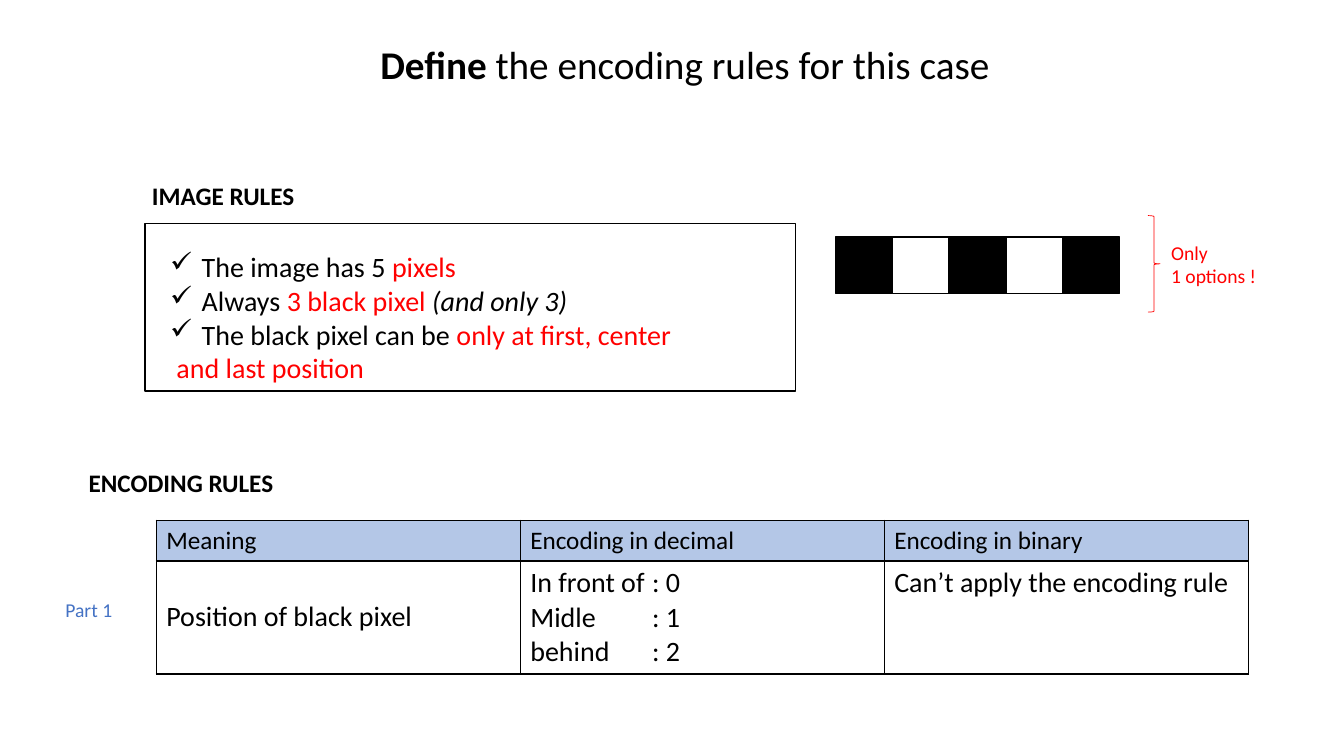
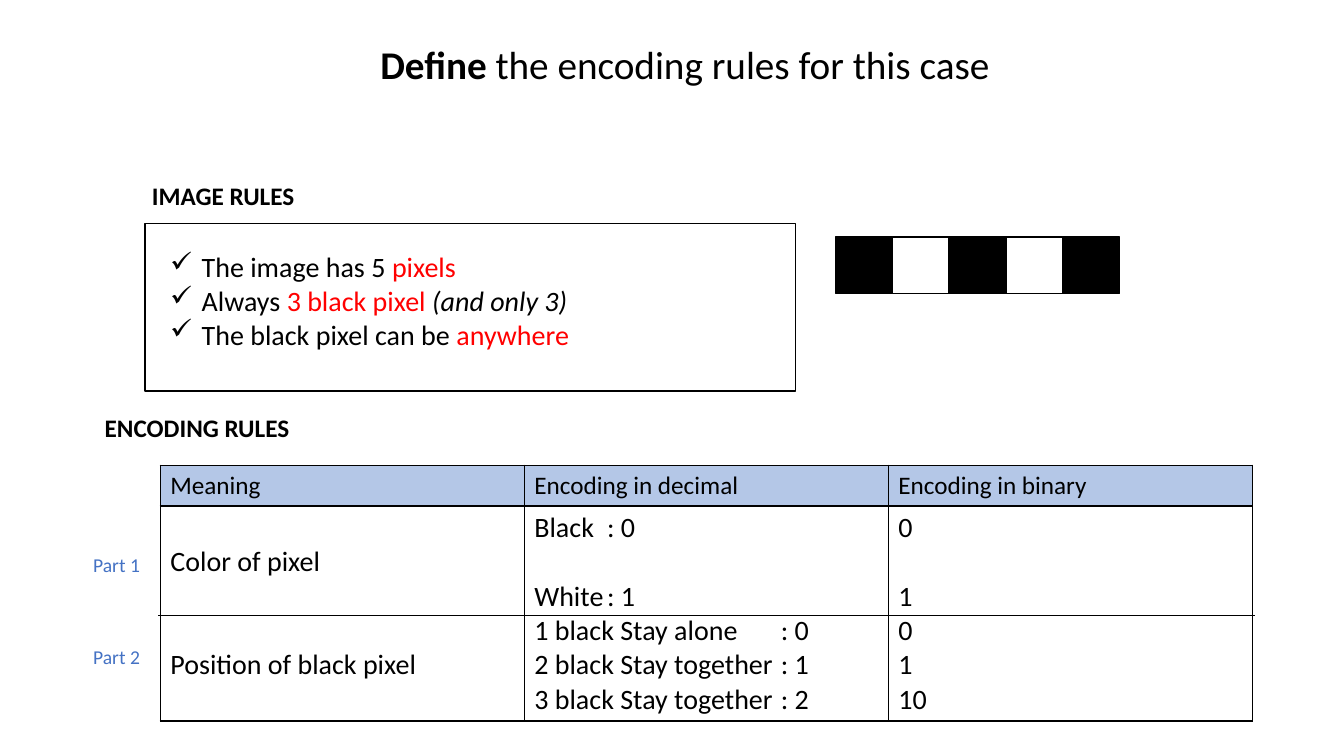
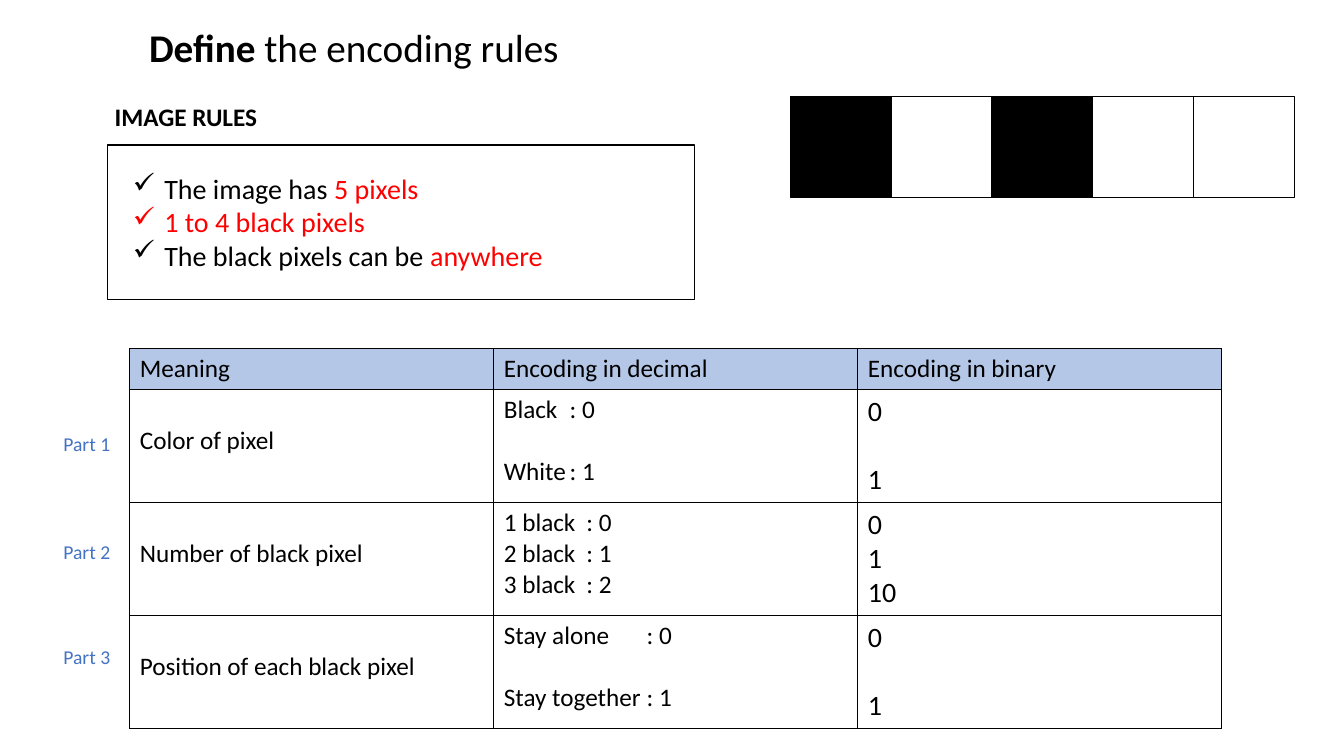
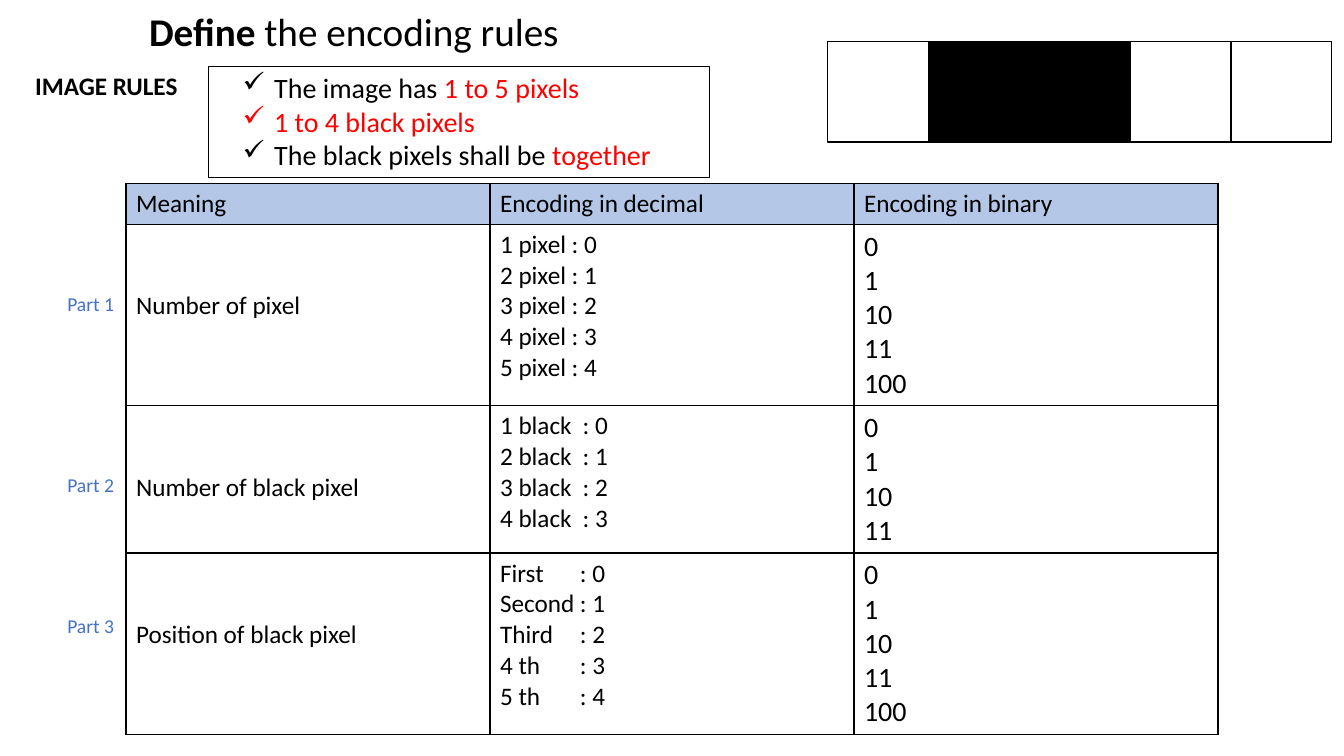
"""Four slides that define encoding rules for a row of pixels."""
from dataclasses import dataclass
from lxml.etree import SubElement as Sub
from pptx import Presentation
from pptx.dml.color import RGBColor as Rgb
from pptx.enum.shapes import MSO_CONNECTOR as Link, MSO_SHAPE as Kind
from pptx.enum.text import MSO_AUTO_SIZE as Auto, PP_ALIGN as Align
from pptx.oxml.ns import qn
from pptx.util import Pt


@dataclass(frozen=True)
class Theme:
    font: str = "Calibri"
    black: str = "000000"
    white: str = "FFFFFF"
    red: str = "FF0000"
    blue: str = "4472C4"
    head: str = "B4C7E7"
    title: int = 28
    body: int = 20
    label: int = 18
    note: int = 14
    line: float = 1
    thin: float = 0.5
    lead: float = 1.22
    pad: float = 3.6
    step: float = 22.5


T = Theme()


def write(frame, paras, size, color=T.black, tabs=()):
    gap = 0
    first = True
    for runs in paras:
        if not runs:
            gap += 1
            continue
        para = frame.paragraphs[0] if first else frame.add_paragraph()
        first = False
        if gap:
            para.space_before = Pt(round(gap * size * T.lead, 2))
        gap = 0
        for text, style in runs:
            run = para.add_run()
            run.text = text
            font = run.font
            font.name, font.size = T.font, Pt(size)
            font.bold, font.italic = "b" in style, "i" in style
            font.color.rgb = Rgb.from_string(T.red if "r" in style else color)
        if tabs and "\t" in para.text:
            stops = Sub(para._p.get_or_add_pPr(), qn("a:tabLst"))
            for stop in tabs:
                Sub(stops, qn("a:tab"), pos=str(Pt(stop)), algn="l")


def draw(slide, kind, area, fill, line, width):
    shape = slide.shapes.add_shape(kind, *map(Pt, area))
    shape.shadow.inherit = False
    if fill:
        shape.fill.solid()
        shape.fill.fore_color.rgb = Rgb.from_string(fill)
    else:
        shape.fill.background()
    shape.line.color.rgb = Rgb.from_string(line)
    shape.line.width = Pt(width)


case = dict(
    title=(" the encoding rules for this case", 216, 25.2, 546.5, Align.CENTER),
    image=(101.5, 125.3), box=(103.7, 159.8, 464.4, 119.5),
    pixels=(597, 169.2, 40.5, "BWBWB"), sizes=(20, 20, 20))
task = dict(sizes=(18, 18, 20), encode=None)
five = [("The image has 5 ", ""), ("pixels", "r")]
three = [("Always ", ""), ("3 black pixel ", "r"), ("(and only 3)", "i")]
some = [("1 to 4 black pixels", "r")]
color = "Black\t: 0||White\t: 1"

pages = [
    dict(case, encode=(56.2, 330.5), rules=(114.5, 175, 376),
         points=[five, three,
                 [("The black pixel can be ", ""), ("only at first, center", "r")],
                 [("and last position", "r")]],
         grid=(111.6, 371.5), tabs=[(87,)], parts=(39.6, [423.4]),
         rows=[("|Position of black pixel",
                "In front of\t: 0|Midle\t: 1|behind\t: 2",
                "Can’t apply the encoding rule")]),
    dict(case, encode=(67.7, 290.9), rules=(114.5, 175, 305),
         points=[five, three, [("The black pixel can be ", ""), ("anywhere", "r")]],
         grid=(114.5, 332.3), tabs=[(52, 176)], parts=(59.4, [391.7, 457.2]),
         rows=[("|Color of pixel|||Position of black pixel",
                color + "|1 black Stay alone\t: 0|2 black Stay together\t: 1"
                "|3 black Stay together\t: 2",
                "0||1|0|1|10")]),
    dict(task, title=(" the encoding rules", 99.4, 13, 324, Align.LEFT),
         image=(74.9, 69.1), box=(77, 103.7, 419, 110.2),
         pixels=(564.5, 69.1, 72, "BWBWW"), rules=(87.8, 118.8, 310),
         points=[[("The image has ", ""), ("5 pixels", "r")], some,
                 [("The black pixels can be ", ""), ("anywhere", "r")]],
         grid=(92.7, 249.1), tabs=[(47,), (59,), (102,)],
         parts=(38.2, [305.3, 382.3, 457.2]),
         rows=[("|Color of pixel", color, "0||1"),
               ("|Number of black pixel", "1 black\t: 0|2 black\t: 1|3 black\t: 2",
                "0|1|10"),
               ("|Position of each black pixel", "Stay alone\t: 0||Stay together\t: 1",
                "0||1")]),
    dict(task, title=(" the encoding rules", 99.4, 1.5, 324, Align.LEFT),
         image=(18, 46.8), box=(149, 47.5, 357.8, 79.2),
         pixels=(591.3, 29.5, 72, "WBBWW"), rules=(166.3, 46.8, 313),
         points=[[("The image has ", ""), ("1 to 5 pixels", "r")], some,
                 [("The black pixels shall be ", ""), ("together", "r")]],
         grid=(90, 131), tabs=[(), (59,), (57,)],
         parts=(41, [205.2, 334.1, 434.9]),
         rows=[("||Number of pixel",
                "1 pixel : 0|2 pixel : 1|3 pixel : 2|4 pixel : 3|5 pixel : 4",
                "0|1|10|11|100"),
               ("||Number of black pixel",
                "1 black\t: 0|2 black\t: 1|3 black\t: 2|4 black\t: 3",
                "0|1|10|11"),
               ("||Position of black pixel",
                "First\t: 0|Second\t: 1|Third\t: 2|4 th\t: 3|5 th\t: 4",
                "0|1|10|11|100")]),
]

deck = Presentation()
deck.slide_width, deck.slide_height = Pt(960), Pt(540)

for num, page in enumerate(pages):
    slide = deck.slides.add_slide(deck.slide_layouts[6])
    shapes = slide.shapes

    heads = ("Meaning", "Encoding in decimal", "Encoding in binary")
    rows = [heads] + page["rows"]
    table = shapes.add_table(len(rows), 3, *map(Pt, page["grid"]), Pt(780), Pt(30)).table
    table.first_row = table.horz_banding = False
    for col in table.columns:
        col.width = Pt(260)
    for r, row in enumerate(rows):
        sizes = page["sizes"] if r else (T.label,) * 3
        count = max(text.count("|") + 1 for text in row)
        tall = count * (T.body if r else T.label) * T.lead + 2 * T.pad
        table.rows[r].height = Pt(round(tall, 2))
        for c, text in enumerate(row):
            cell = table.cell(r, c)
            props = cell._tc.get_or_add_tcPr()
            for side in "LRTB":
                edge = Sub(props, qn("a:ln" + side), w=str(Pt(T.line)))
                Sub(Sub(edge, qn("a:solidFill")), qn("a:srgbClr"), val=T.black)
            if r:
                cell.fill.background()
            else:
                cell.fill.solid()
                cell.fill.fore_color.rgb = Rgb.from_string(T.head)
            body = text.lstrip("|")
            skip = len(text) - len(body)
            cell.margin_top = Pt(round(T.pad + skip * sizes[c] * T.lead, 2))
            lines = [[(line, "")] if line else [] for line in body.split("|")]
            write(cell.text_frame, lines, sizes[c], tabs=page["tabs"][r - 1] if r else ())

    draw(slide, Kind.RECTANGLE, page["box"], None, T.black, T.line)
    left, top, side, code = page["pixels"]
    for i, mark in enumerate(code):
        draw(slide, Kind.RECTANGLE, (left + i * side, top, side, side),
             T.black if mark == "B" else T.white, T.black, T.line)

    name, x, y, wide, align = page["title"]
    notes = [((x, y, wide, 41), [[("Define", "b"), (name, "")]], T.title, T.black),
             ((*page["image"], 117.4, 29), [[("IMAGE RULES", "b")]], T.label, T.black),
             ((*page["rules"], 24 * len(page["points"]) + 8), page["points"],
              T.body, T.black)]
    if page["encode"]:
        notes.append(((*page["encode"], 148.3, 29), [[("ENCODING RULES", "b")]],
                      T.label, T.black))
    x, tops = page["parts"]
    for i, y in enumerate(tops, 1):
        notes.append(((x, y, 48.2, 24.5), [[(f"Part {i}", "")]], T.note, T.blue))
    if num == 0:
        draw(slide, Kind.RIGHT_BRACE, (820, 154, 8.6, 69), None, T.red, T.thin)
        notes.append(((829.4, 168.5, 75.6, 41), [[("Only", "")], [("1 options !", "")]],
                      T.note, T.red))
    for area, paras, size, tint in notes:
        frame = shapes.add_textbox(*map(Pt, area)).text_frame
        frame.word_wrap = size == T.title
        frame.auto_size = Auto.SHAPE_TO_FIT_TEXT
        write(frame, paras, size, tint)
        if size == T.title:
            frame.paragraphs[0].alignment = align
        if size == T.body:
            for i, para in enumerate(frame.paragraphs):
                props = para._p.get_or_add_pPr()
                props.set("marL", str(Pt(T.step if i < 3 else 4.5)))
                if i < 3:
                    props.set("indent", str(Pt(-T.step)))
                    Sub(props, qn("a:buChar"), char="✓")

    if num == 1:
        rule = shapes.add_connector(Link.STRAIGHT, Pt(113), Pt(439.2), Pt(896.4), Pt(439.2))
        rule.line.color.rgb = Rgb.from_string(T.black)
        rule.line.width = Pt(T.thin)
        Sub(rule._element.spPr, qn("a:effectLst"))

deck.save("out.pptx")
